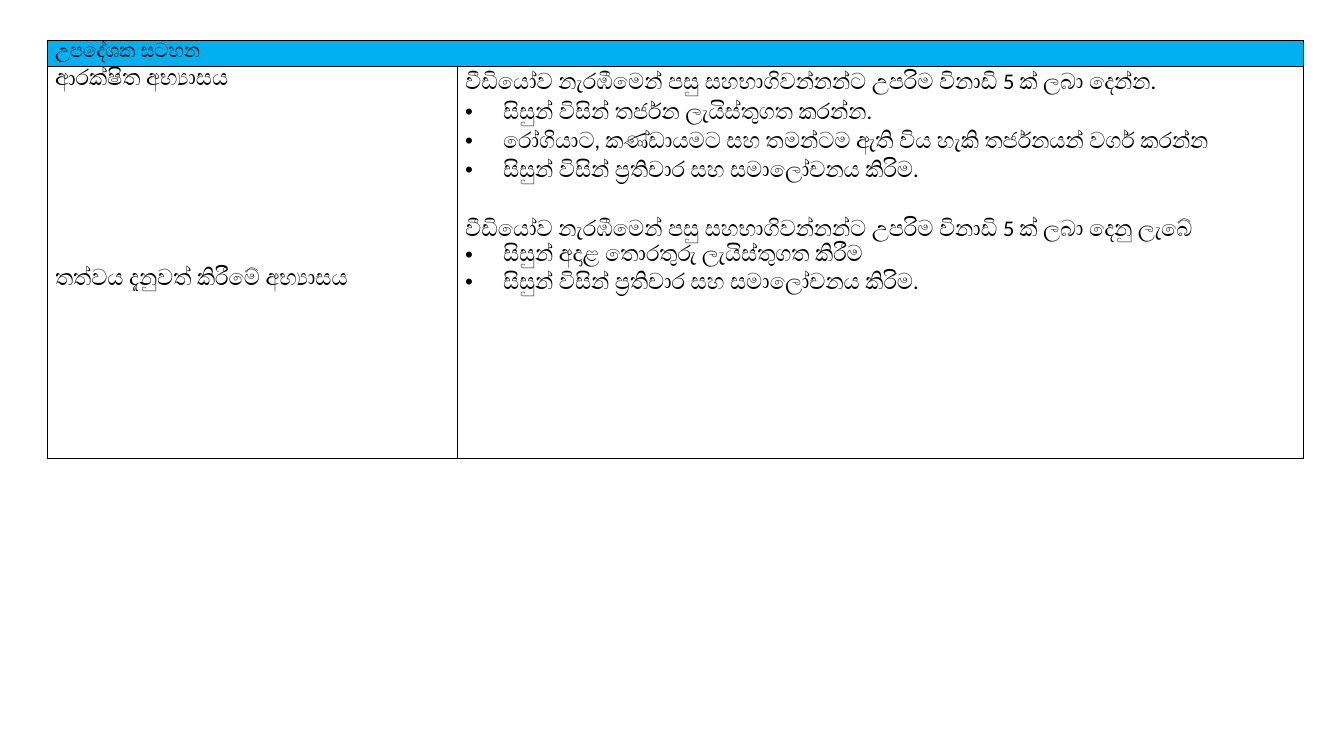
from dataclasses import dataclass

from pptx import Presentation
from pptx.dml import color
from pptx.enum import text
from pptx.oxml import ns
from pptx.util import Pt
from lxml import etree

FONT = "Calibri"
INK = "000000"
HEADER_BLUE = "00B0F0"
BULLET_INDENT = 27
COLUMN_WIDTHS = (293, 604)
ROW_HEIGHTS = (18.7, 280)
JOINER = chr(0x200D)
PRACTICE = f"අභ්{JOINER}යාසය"
FEEDBACK = f"සිසුන් විසින් ප්{JOINER}රතිචාර සහ සමාලෝචනය කිරිම."


@dataclass(frozen=True)
class Line:
    wording: str
    bullet: bool = False
    before: float = 0
    size: float = 16


@dataclass(frozen=True)
class Entry:
    row: int
    column: int
    lines: tuple[Line, ...]
    fill: str = ""


ENTRIES = (
    Entry(0, 0, (Line("උපදේශක සටහන", size=14),), HEADER_BLUE),
    Entry(1, 0, (
        Line(f"ආරක්ෂිත {PRACTICE}"),
        Line(f"තත්වය දැනුවත් කිරීමේ {PRACTICE}", before=125.3),
    )),
    Entry(1, 1, (
        Line("වීඩියෝව නැරඹීමෙන් පසු සහභාගිවන්නන්ට උපරිම විනාඩි 5 ක් ලබා දෙන්න."),
        Line("සිසුන් විසින් තර්ජන ලැයිස්තුගත කරන්න.", bullet=True),
        Line("රෝගියාට, කණ්ඩායමට සහ තමන්ටම ඇති විය හැකි තර්ජනයන් වර්ග කරන්න", bullet=True),
        Line(FEEDBACK, bullet=True),
        Line("වීඩියෝව නැරඹීමෙන් පසු සහභාගිවන්නන්ට උපරිම විනාඩි 5 ක් ලබා දෙනු ලැබේ", before=20.9),
        Line("සිසුන් අදාළ තොරතුරු ලැයිස්තුගත කිරීම", bullet=True),
        Line(FEEDBACK, bullet=True),
    )),
)


def rgb(value: str) -> color.RGBColor:
    return color.RGBColor.from_string(value)


def add_borders(cell) -> None:
    properties = cell._tc.get_or_add_tcPr()
    for side in ("a:lnL", "a:lnR", "a:lnT", "a:lnB"):
        border = etree.SubElement(properties, ns.qn(side), w=str(Pt(1)))
        solid = etree.SubElement(border, ns.qn("a:solidFill"))
        etree.SubElement(solid, ns.qn("a:srgbClr"), val=INK)


def add_bullet(paragraph) -> None:
    properties = paragraph._p.get_or_add_pPr()
    properties.set("marL", str(Pt(BULLET_INDENT)))
    properties.set("indent", str(-Pt(BULLET_INDENT)))
    etree.SubElement(properties, ns.qn("a:buFont"), typeface="Arial")
    etree.SubElement(properties, ns.qn("a:buChar"), char="•")


def write_line(paragraph, line: Line) -> None:
    if line.bullet:
        add_bullet(paragraph)
    paragraph.line_spacing = 1.07
    if line.before:
        paragraph.space_before = Pt(line.before)
    run = paragraph.add_run()
    run.text = line.wording
    run.font.name = FONT
    run.font.size = Pt(line.size)
    run.font.color.rgb = rgb(INK)


def write_entry(cell, entry: Entry) -> None:
    if entry.fill:
        cell.fill.solid()
        cell.fill.fore_color.rgb = rgb(entry.fill)
    frame = cell.text_frame
    for index, line in enumerate(entry.lines):
        write_line(frame.add_paragraph() if index else frame.paragraphs[0], line)


def add_guide(slide):
    guide = slide.shapes.add_table(
        len(ROW_HEIGHTS), len(COLUMN_WIDTHS), Pt(33.9), Pt(28.8),
        Pt(sum(COLUMN_WIDTHS)), Pt(sum(ROW_HEIGHTS)),
    ).table
    guide.first_row = False
    guide.horz_banding = False
    for column, width in zip(guide.columns, COLUMN_WIDTHS):
        column.width = Pt(width)
    for row, height in zip(guide.rows, ROW_HEIGHTS):
        row.height = Pt(height)
    for cell in guide.iter_cells():
        add_borders(cell)
        cell.fill.background()
        cell.margin_left = cell.margin_right = Pt(5.4)
        cell.margin_top = cell.margin_bottom = Pt(0)
        cell.vertical_anchor = text.MSO_ANCHOR.TOP
    guide.cell(0, 0).merge(guide.cell(0, 1))
    return guide


def main() -> None:
    deck = Presentation()
    deck.slide_width, deck.slide_height = Pt(960), Pt(540)
    slide = deck.slides.add_slide(deck.slide_layouts[6])
    guide = add_guide(slide)
    for entry in ENTRIES:
        write_entry(guide.cell(entry.row, entry.column), entry)
    deck.save("out.pptx")


if __name__ == "__main__":
    main()
